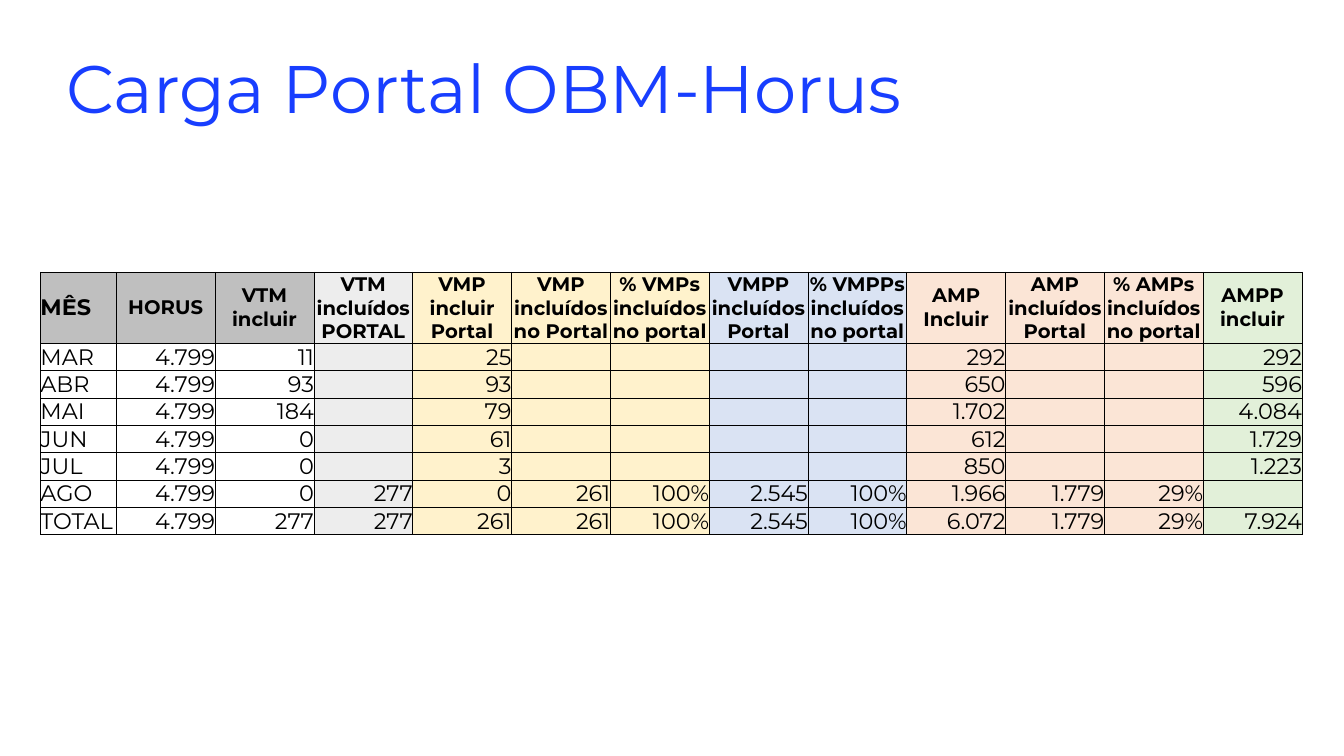
from dataclasses import dataclass
from typing import Optional

import lxml.etree
import pptx
import pptx.dml.color
import pptx.enum.text
import pptx.oxml.ns
import pptx.util

Cm = pptx.util.Cm
Pt = pptx.util.Pt
RGBColor = pptx.dml.color.RGBColor
Align = pptx.enum.text.PP_ALIGN
Anchor = pptx.enum.text.MSO_ANCHOR
qn = pptx.oxml.ns.qn

FONT = "Montserrat"
BLACK = RGBColor(0x00, 0x00, 0x00)
BLUE = RGBColor(0x18, 0x3E, 0xFF)
GRAY = RGBColor(0xBF, 0xBF, 0xBF)
LIGHT_GRAY = RGBColor(0xED, 0xED, 0xED)
YELLOW = RGBColor(0xFF, 0xF2, 0xCC)
PALE_BLUE = RGBColor(0xDA, 0xE3, 0xF3)
PEACH = RGBColor(0xFB, 0xE5, 0xD6)
GREEN = RGBColor(0xE2, 0xF0, 0xD9)

MONTH_WIDTH, VALUE_WIDTH = Cm(1.91), Cm(2.49)
HEADER_HEIGHT, BODY_HEIGHT = Cm(1.79), Cm(0.69)


@dataclass(frozen=True)
class Column:
    header: str
    values: tuple[str, ...]
    header_fill: RGBColor
    body_fill: Optional[RGBColor] = None


def late(august: str, total: str) -> tuple[str, ...]:
    return ("",) * 5 + (august, total)


COLUMNS = (
    Column("MÊS", ("MAR", "ABR", "MAI", "JUN", "JUL", "AGO", "TOTAL"), GRAY),
    Column("HORUS", ("4.799",) * 7, GRAY),
    Column("VTM incluir", ("11", "93", "184", "0", "0", "0", "277"), GRAY),
    Column("VTM incluídos PORTAL", late("277", "277"), LIGHT_GRAY, LIGHT_GRAY),
    Column("VMP incluir Portal", ("25", "93", "79", "61", "3", "0", "261"), YELLOW, YELLOW),
    Column("VMP incluídos no Portal", late("261", "261"), YELLOW, YELLOW),
    Column("% VMPs incluídos no portal", late("100%", "100%"), YELLOW, YELLOW),
    Column("VMPP incluídos Portal", late("2.545", "2.545"), PALE_BLUE, PALE_BLUE),
    Column("% VMPPs incluídos no portal", late("100%", "100%"), PALE_BLUE, PALE_BLUE),
    Column("AMP Incluir", ("292", "650", "1.702", "612", "850", "1.966", "6.072"), PEACH, PEACH),
    Column("AMP incluídos Portal", late("1.779", "1.779"), PEACH, PEACH),
    Column("% AMPs incluídos no portal", late("29%", "29%"), PEACH, PEACH),
    Column("AMPP incluir", ("292", "596", "4.084", "1.729", "1.223", "", "7.924"), GREEN, GREEN),
)


def write_text(
    text_frame: pptx.text.text.TextFrame,
    text: str,
    *,
    size: float,
    color: RGBColor = BLACK,
    bold: bool = False,
    alignment: Align = Align.LEFT,
    line_spacing: float = 1.0,
) -> None:
    text_frame.word_wrap = True
    paragraph = text_frame.paragraphs[0]
    paragraph.alignment = alignment
    paragraph.line_spacing = line_spacing
    if not text:
        lxml.etree.SubElement(paragraph._p, qn("a:endParaRPr"), sz=str(int(size * 100)))
        return
    run = paragraph.add_run()
    run.text = text
    run.font.name = FONT
    run.font.size = Pt(size)
    run.font.bold = bold
    run.font.color.rgb = color


def format_cell(cell: pptx.table._Cell, fill: Optional[RGBColor], anchor: Anchor) -> None:
    cell.margin_left = cell.margin_right = cell.margin_top = cell.margin_bottom = 0
    cell.vertical_anchor = anchor
    properties = cell._tc.get_or_add_tcPr()
    for side in ("a:lnL", "a:lnR", "a:lnT", "a:lnB"):
        line = lxml.etree.SubElement(properties, qn(side), w=str(Pt(0.5)))
        solid_fill = lxml.etree.SubElement(line, qn("a:solidFill"))
        lxml.etree.SubElement(solid_fill, qn("a:srgbClr"), val=str(BLACK))
    if fill is None:
        cell.fill.background()
    else:
        cell.fill.solid()
        cell.fill.fore_color.rgb = fill


def add_title(slide: pptx.slide.Slide, text: str) -> None:
    shape = slide.shapes.add_textbox(Cm(1.42), Cm(1.27), Cm(22.17), Cm(1.65))
    write_text(shape.text_frame, text, size=48, color=BLUE, line_spacing=0.9)


def add_load_table(slide: pptx.slide.Slide) -> None:
    body_rows = len(COLUMNS[0].values)
    width = MONTH_WIDTH + VALUE_WIDTH * (len(COLUMNS) - 1)
    height = HEADER_HEIGHT + BODY_HEIGHT * body_rows
    table = slide.shapes.add_table(
        body_rows + 1, len(COLUMNS), Cm(1.02), Cm(6.86), width, height
    ).table
    table.first_row = table.horz_banding = False
    for index, row in enumerate(table.rows):
        row.height = BODY_HEIGHT if index else HEADER_HEIGHT
    for index, column in enumerate(COLUMNS):
        is_month = index == 0
        table.columns[index].width = MONTH_WIDTH if is_month else VALUE_WIDTH
        header = table.cell(0, index)
        format_cell(header, column.header_fill, Anchor.MIDDLE)
        write_text(
            header.text_frame,
            column.header,
            size=16 if is_month else 14,
            bold=True,
            alignment=Align.LEFT if is_month else Align.CENTER,
        )
        for row_number, value in enumerate(column.values, start=1):
            cell = table.cell(row_number, index)
            format_cell(cell, column.body_fill, Anchor.BOTTOM)
            alignment = Align.LEFT if is_month else Align.RIGHT
            write_text(cell.text_frame, value, size=16, alignment=alignment)


def main() -> None:
    presentation = pptx.Presentation()
    presentation.slide_width = Cm(33.87)
    presentation.slide_height = Cm(19.05)
    slide = presentation.slides.add_slide(presentation.slide_layouts[6])
    add_title(slide, "Carga Portal OBM-Horus")
    add_load_table(slide)
    presentation.save("out.pptx")


if __name__ == "__main__":
    main()
